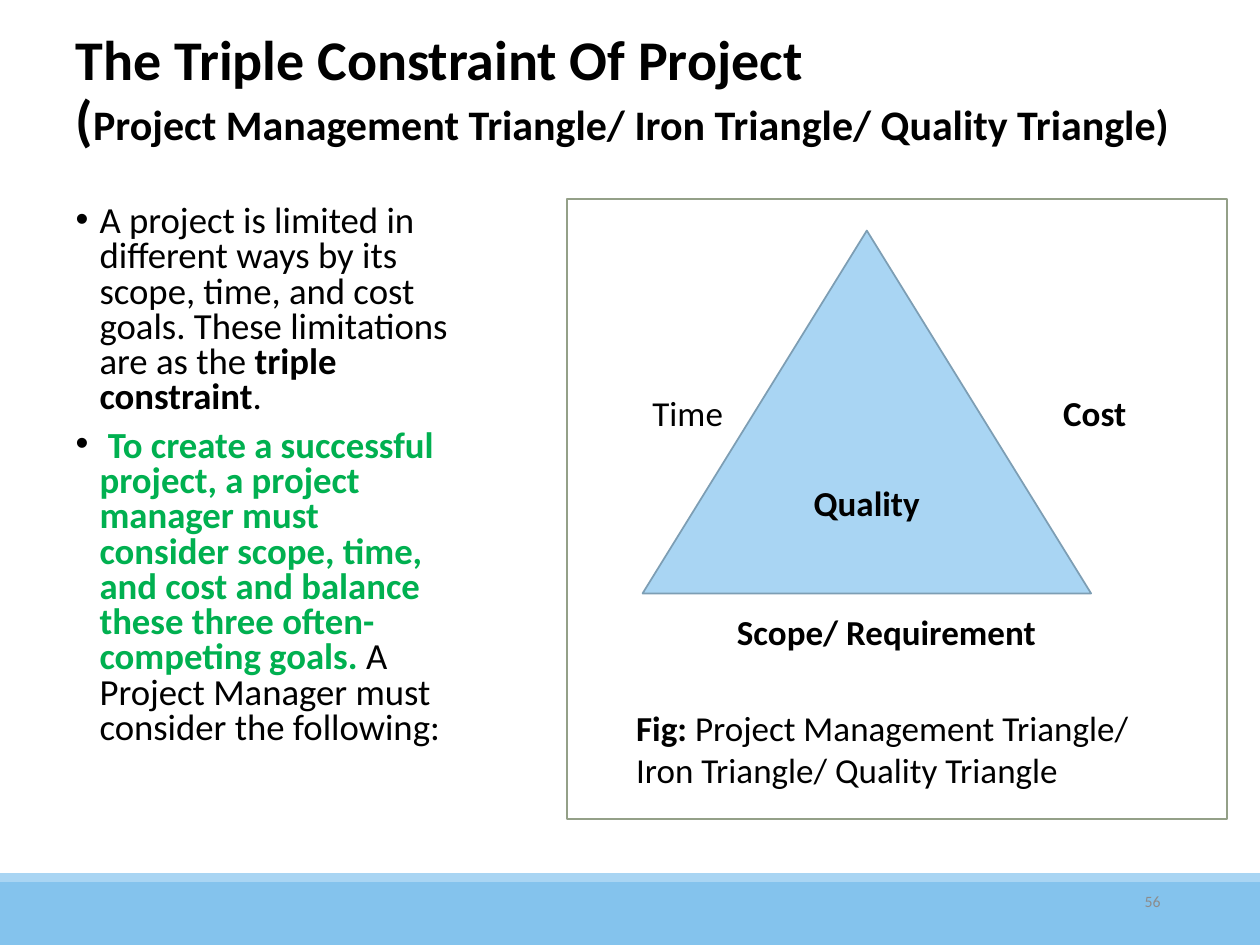
from dataclasses import dataclass
from typing import Optional

from lxml.etree import SubElement
from pptx import Presentation
from pptx.dml.color import RGBColor
from pptx.enum.shapes import MSO_SHAPE
from pptx.enum.text import MSO_ANCHOR, MSO_AUTO_SIZE, PP_ALIGN
from pptx.oxml.ns import qn
from pptx.util import Inches, Pt

BLACK = RGBColor(0x00, 0x00, 0x00)
WHITE = RGBColor(0xFF, 0xFF, 0xFF)
GREEN = RGBColor(0x00, 0xB0, 0x50)
GRAY = RGBColor(0x8C, 0x8C, 0x8C)
BLUE = RGBColor(0x84, 0xC3, 0xED)
LIGHT_BLUE = RGBColor(0xA9, 0xD5, 0xF3)
STEEL = RGBColor(0x7D, 0x9E, 0xB4)
OLIVE = RGBColor(0x94, 0xA0, 0x88)

FONT = "Calibri"
CELL = Inches(0.1)
COLUMNS, ROWS = 100, 75


@dataclass(frozen=True)
class Area:
    column: float
    row: float
    columns: float
    rows: float

    def lengths(self) -> tuple:
        return tuple(round(cells * CELL) for cells in
                     (self.column, self.row, self.columns, self.rows))


@dataclass(frozen=True)
class Piece:
    text: str
    bold: bool = False
    color: RGBColor = BLACK


@dataclass(frozen=True)
class Panel:
    area: Area
    fill: RGBColor
    line: Optional[RGBColor] = None
    kind: MSO_SHAPE = MSO_SHAPE.RECTANGLE


@dataclass(frozen=True)
class Label:
    area: Area
    pieces: tuple


TITLE_AREA = Area(5, 3.1, 91.7, 8.5)
BODY_AREA = Area(5, 15.8, 31.7, 49.2)
NUMBER_AREA = Area(70.6, 69.5, 22.5, 4)

PANELS = (
    Panel(Area(0, 70, COLUMNS, ROWS - 70), BLUE),
    Panel(Area(0, 69.3, COLUMNS, 0.7), LIGHT_BLUE),
    Panel(Area(45, 15.8, 52.4, 49.2), WHITE, OLIVE),
)
TRIANGLE = Panel(Area(51, 18.3, 35.6, 28.8), LIGHT_BLUE, STEEL,
                 MSO_SHAPE.ISOSCELES_TRIANGLE)

BULLETS = (
    (Piece("A project is limited in different ways by its scope, time, and "
           "cost goals. These limitations are as the "),
     Piece("triple constraint", bold=True),
     Piece(".")),
    (Piece(" "),
     Piece("To create a successful project, a project manager must consider "
           "scope, time, and cost and balance these three often-competing "
           "goals. ", bold=True, color=GREEN),
     Piece("A Project Manager must consider the following:")),
)

LABELS = (
    Label(Area(50.8, 30.6, 14, 4.4), (Piece("Time"),)),
    Label(Area(83.4, 30.6, 14, 4.4), (Piece("Cost", bold=True),)),
    Label(Area(57.5, 48, 25.8, 4.4),
          (Piece("Scope/ Requirement", bold=True),)),
    Label(Area(49.5, 55.6, 41.9, 7.7),
          (Piece("Fig: ", bold=True),
           Piece("Project Management Triangle/ Iron Triangle/ "
                 "Quality Triangle"))),
)


def place(shape, area: Area) -> None:
    shape.left, shape.top, shape.width, shape.height = area.lengths()


def style_font(font, size: float, color: RGBColor = BLACK) -> None:
    font.name = FONT
    font.size = Pt(size)
    font.color.rgb = color


def write_pieces(paragraph, pieces: tuple, size: float) -> None:
    style_font(paragraph.font, size)
    for piece in pieces:
        run = paragraph.add_run()
        run.text = piece.text
        run.font.bold = piece.bold
        run.font.color.rgb = piece.color


def draw_panel(slide, panel: Panel):
    shape = slide.shapes.add_shape(panel.kind, *panel.area.lengths())
    shape.shadow.inherit = False
    shape.fill.solid()
    shape.fill.fore_color.rgb = panel.fill
    if panel.line is None:
        shape.line.fill.background()
    else:
        shape.line.color.rgb = panel.line
        shape.line.width = Pt(1)
    return shape


def draw_label(slide, label: Label) -> None:
    frame = slide.shapes.add_textbox(*label.area.lengths()).text_frame
    frame.word_wrap = True
    write_pieces(frame.paragraphs[0], label.pieces, 20)


def draw_number(slide, text: str) -> None:
    frame = slide.shapes.add_textbox(*NUMBER_AREA.lengths()).text_frame
    frame.word_wrap = True
    frame.vertical_anchor = MSO_ANCHOR.MIDDLE
    paragraph = frame.paragraphs[0]
    paragraph.text = text
    paragraph.alignment = PP_ALIGN.RIGHT
    style_font(paragraph.font, 9, GRAY)


def fill_title(title) -> None:
    place(title, TITLE_AREA)
    frame = title.text_frame
    frame.auto_size = MSO_AUTO_SIZE.NONE
    frame.vertical_anchor = MSO_ANCHOR.MIDDLE
    paragraph = frame.paragraphs[0]
    paragraph.alignment = PP_ALIGN.LEFT
    paragraph.line_spacing = 0.9
    style_font(paragraph.font, 32)
    paragraph.font.bold = True
    paragraph.add_run().text = "The Triple Constraint Of Project"
    paragraph.add_line_break()
    paragraph.add_run().text = "("
    subtitle = paragraph.add_run()
    subtitle.text = ("Project Management Triangle/ Iron Triangle/ "
                     "Quality Triangle)")
    subtitle.font.size = Pt(24)


def fill_body(body) -> None:
    place(body, BODY_AREA)
    frame = body.text_frame
    frame.auto_size = MSO_AUTO_SIZE.NONE
    for index, pieces in enumerate(BULLETS):
        paragraph = frame.add_paragraph() if index else frame.paragraphs[0]
        paragraph.line_spacing = 0.8
        paragraph.space_before = Pt(7.5 if index else 0)
        properties = paragraph._p.get_or_add_pPr()
        properties.set("marL", str(Inches(0.19)))
        properties.set("indent", str(-Inches(0.19)))
        SubElement(properties, qn("a:buFont"), typeface="Arial")
        SubElement(properties, qn("a:buChar"), char="•")
        write_pieces(paragraph, pieces, 21)


def draw_triangle(slide) -> None:
    frame = draw_panel(slide, TRIANGLE).text_frame
    frame.vertical_anchor = MSO_ANCHOR.MIDDLE
    paragraph = frame.paragraphs[0]
    paragraph.alignment = PP_ALIGN.CENTER
    write_pieces(paragraph, (Piece("Quality", bold=True),), 20)


def main() -> None:
    presentation = Presentation()
    presentation.slide_width = COLUMNS * CELL
    presentation.slide_height = ROWS * CELL
    slide = presentation.slides.add_slide(presentation.slide_layouts[1])
    for panel in PANELS:
        draw_panel(slide, panel)
    draw_number(slide, "56")
    fill_title(slide.shapes.title)
    fill_body(slide.placeholders[1])
    draw_triangle(slide)
    for label in LABELS:
        draw_label(slide, label)
    presentation.save("out.pptx")


if __name__ == "__main__":
    main()
